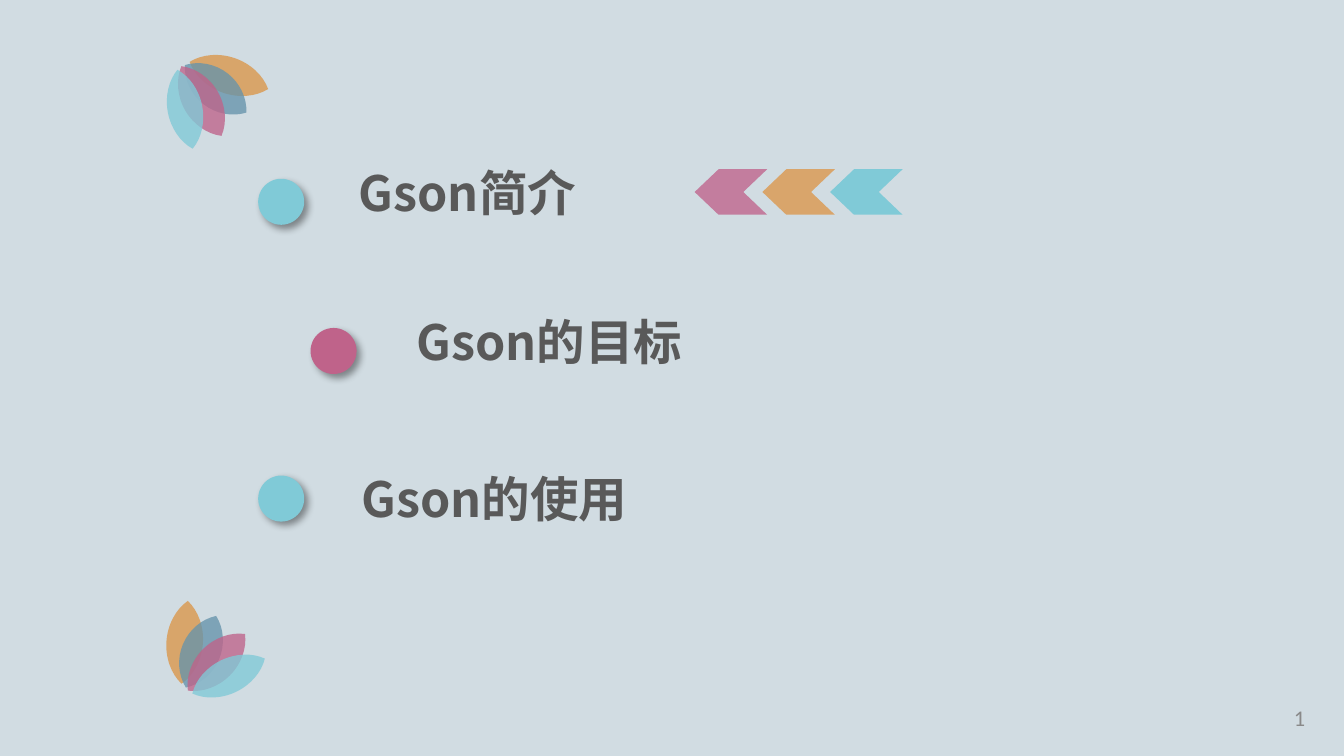
import math
from dataclasses import dataclass

from lxml import etree
from pptx import Presentation
from pptx.dml.color import RGBColor
from pptx.enum import shapes, text
from pptx.oxml import ns
from pptx.util import Cm, Pt

TEAL, ROSE, BLUE, ORANGE = "80CAD7", "BF638A", "6694AB", "DB9649"
CJK = "Noto Sans CJK SC"


@dataclass
class Petal:
    dx: float  # centre, measured from the centre of the flower
    dy: float
    w: float
    h: float
    angle: float
    color: str


@dataclass
class Topic:
    label: str
    dot_x: float
    dot_y: float
    text_x: float
    text_y: float
    color: str


PETALS = [
    Petal(-0.42, -0.32, 0.69, 1.57, 184.3, ORANGE),
    Petal(-0.11, -0.14, 0.74, 1.47, 22.9, BLUE),
    Petal(0.18, 0.06, 0.71, 1.52, 45.3, ROSE),
    Petal(0.41, 0.32, 0.66, 1.52, 64.3, TEAL),
]
TOPICS = [
    Topic("Gson简介", 4.88, 3.38, 6.53, 2.95, TEAL),
    Topic("Gson的目标", 5.87, 6.2, 7.62, 5.77, ROSE),
    Topic("Gson的使用", 4.88, 8.99, 6.58, 8.74, TEAL),
]
# Leaf outline in thousandths: two control points and an end point per curve
LEAF = [
    ((190, 110), (0, 300), (0, 500)),
    ((0, 700), (190, 890), (500, 1000)),
    ((810, 890), (1000, 700), (1000, 500)),
    ((1000, 300), (810, 110), (500, 0)),
]


def rgb(color: str) -> RGBColor:
    return RGBColor.from_string(color)


def sub(parent, tag: str, **attrs):
    return etree.SubElement(parent, ns.qn(tag), {k: str(v) for k, v in attrs.items()})


def paint(sp, color: str) -> None:
    sp.shadow.inherit = False
    sp.fill.solid()
    sp.fill.fore_color.rgb = rgb(color)
    sp.line.fill.background()


def add_petal(s, petal: Petal, cx: float, cy: float, turn: float) -> None:
    scale = (Cm(petal.w) / 1000, Cm(petal.h) / 1000)
    builder = s.shapes.build_freeform(500, 0, scale=scale)
    builder.add_line_segments([end for _, _, end in LEAF], close=True)
    sp = builder.convert_to_shape()
    # Bend the straight sides into curves
    for side, curve in zip(list(sp._element.iter(ns.qn("a:lnTo"))), LEAF):
        bend = etree.Element(ns.qn("a:cubicBezTo"))
        for x, y in curve:
            sub(bend, "a:pt", x=x, y=y)
        side.getparent().replace(side, bend)
    a = math.radians(turn)
    x = cx + petal.dx * math.cos(a) - petal.dy * math.sin(a)
    y = cy + petal.dx * math.sin(a) + petal.dy * math.cos(a)
    sp.left, sp.top = Cm(x - petal.w / 2), Cm(y - petal.h / 2)
    sp.rotation = (petal.angle + turn) % 360
    paint(sp, petal.color)
    sub(sp._element.spPr.find(ns.qn("a:solidFill"))[0], "a:alpha", val=78000)


def add_flower(s, cx: float, cy: float, turn: float) -> None:
    for petal in PETALS:
        add_petal(s, petal, cx, cy, turn)


def add_dot(s, x: float, y: float, color: str) -> None:
    sp = s.shapes.add_shape(shapes.MSO_SHAPE.OVAL, Cm(x), Cm(y), Cm(0.87), Cm(0.87))
    paint(sp, color)
    effects = sp._element.spPr.find(ns.qn("a:effectLst"))
    shadow = sub(effects, "a:outerShdw", blurRad=Pt(4), dist=Pt(3), dir=45 * 60000,
                 algn="tl", rotWithShape=0)
    sub(sub(shadow, "a:srgbClr", val="000000"), "a:alpha", val=40000)


def add_chevron(s, x: float, color: str) -> None:
    sp = s.shapes.add_shape(shapes.MSO_SHAPE.CHEVRON, Cm(x), Cm(3.2), Cm(1.37), Cm(0.86))
    sp.adjustments[0] = 0.525
    sp._element.spPr.find(ns.qn("a:xfrm")).set("flipH", "1")
    paint(sp, color)


def add_text(s, words: str, x: float, y: float, w: float, h: float, *, size: float,
             font: str, color: str, bold: bool = False,
             align=text.PP_ALIGN.LEFT, anchor=text.MSO_ANCHOR.TOP) -> None:
    tf = s.shapes.add_textbox(Cm(x), Cm(y), Cm(w), Cm(h)).text_frame
    tf.word_wrap = True
    tf.vertical_anchor = anchor
    p = tf.paragraphs[0]
    p.alignment = align
    r = p.add_run()
    r.text = words
    r.font.size, r.font.name, r.font.bold = Pt(size), font, bold
    r.font.color.rgb = rgb(color)
    sub(r.font._element, "a:ea", typeface=font)


prs = Presentation()
prs.slide_width, prs.slide_height = Cm(25.4), Cm(14.29)
s = prs.slides.add_slide(prs.slide_layouts[6])
s.background.fill.solid()
s.background.fill.fore_color.rgb = rgb("D1DCE2")

# Corner flowers
add_flower(s, 3.91, 12.46, 0)
add_flower(s, 3.91, 1.75, 104.8)

# Topics
for topic in TOPICS:
    add_text(s, topic.label, topic.text_x, topic.text_y, 10, 1.37,
             size=26, font=CJK, color="595959", bold=True)
    add_dot(s, topic.dot_x, topic.dot_y, topic.color)

# Chevrons pointing at the current topic
for i, color in enumerate(["C37D9E", "D9A56B", TEAL]):
    add_chevron(s, 13.13 + 1.28 * i, color)

# Page number
add_text(s, "1", 23.09, 13.18, 1.83, 0.76, size=12, font="Calibri", color="898989",
         align=text.PP_ALIGN.RIGHT, anchor=text.MSO_ANCHOR.MIDDLE)

prs.save("out.pptx")
